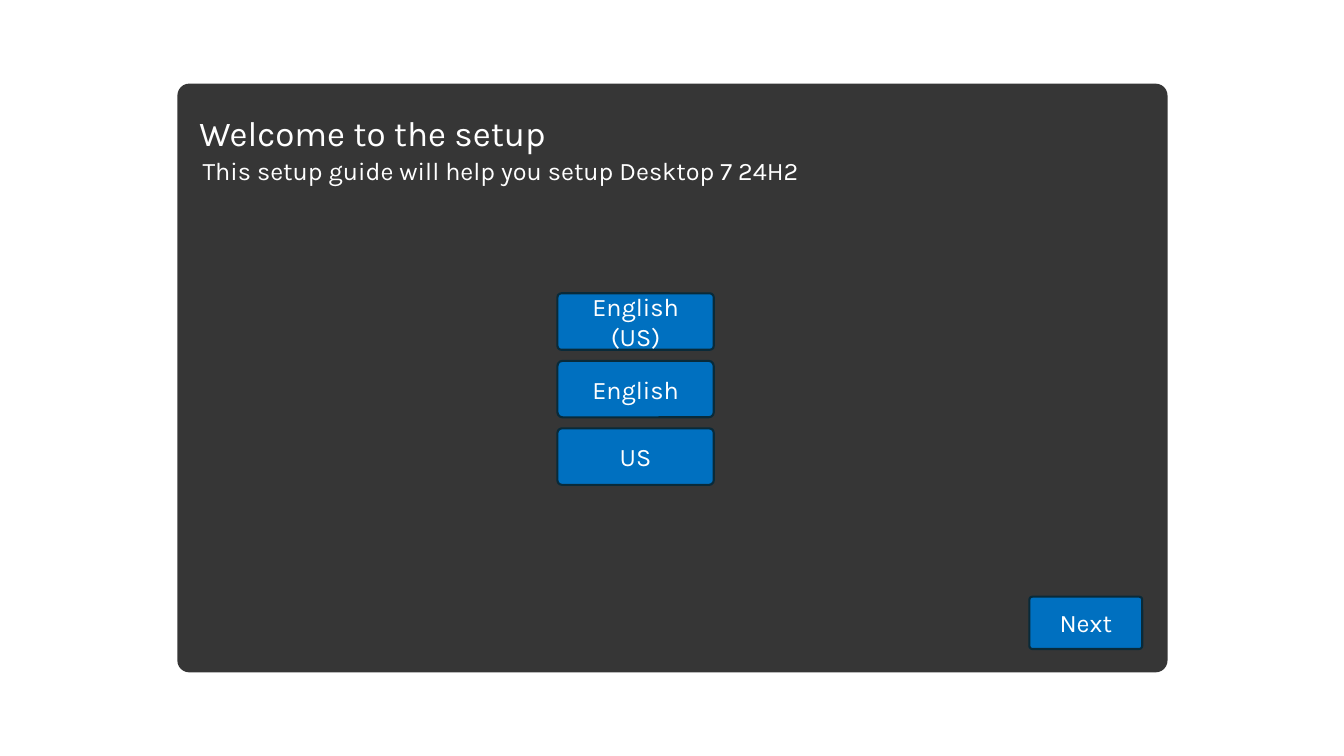
"""Build a setup welcome slide with language buttons and a Next button."""
import pptx
import pptx.dml.color
import pptx.enum.shapes
import pptx.enum.text
import pptx.util
from pptx.oxml import parse_xml
from pptx.oxml.ns import nsdecls, qn

HEADINGS = [
    ("Welcome to the setup", "title", (14.1, 14.13, 70.97, 6.93)),
    ("This setup guide will help you setup Desktop 7 24H2", "body", (14.33, 19.87, 70.97, 5.33)),
]
LANGUAGES = [("English (US)", 0.07), ("English", 0.09), ("US", 0.08)]
NEXT_BUTTON = ("Next", 0.06, (76.59, 78.93, 8.4, 6.93))
PANEL = (13.2, 11.07, 73.67, 77.87)
PANEL_ROUNDING = 0.02
FIRST_LANGUAGE = (41.48, 38.8, 11.63, 7.47)
LANGUAGE_STEP = 8.93

THEME = {
    "font": "Karla",
    "title": 25,
    "body": 18,
    "text": "FFFFFF",
    "panel": "000000",
    "panel_opacity": 79,
    "button": "0070C0",
    "outline": "092A39",
    "outline_width": 1.5,
}


def color(name):
    return pptx.dml.color.RGBColor.from_string(THEME[name])


def place(percentages):
    sides = (deck.slide_width, deck.slide_height) * 2
    return [round(side * share / 100) for side, share in zip(sides, percentages)]


def write(shape, text, size, alignment, anchor):
    frame = shape.text_frame
    for name, value in {"word_wrap": True, "vertical_anchor": anchor}.items():
        setattr(frame, name, value)
    para = frame.paragraphs[0]
    para.alignment = alignment
    span = para.add_run()
    span.text = text
    span.font.color.rgb = color("text")
    styles = {"name": THEME["font"], "size": pptx.util.Pt(THEME[size])}
    for name, value in styles.items():
        setattr(span.font, name, value)


def add_rounded(area, rounding, fill):
    kind = pptx.enum.shapes.MSO_SHAPE.ROUNDED_RECTANGLE
    shape = page.shapes.add_shape(kind, *place(area))
    shape.adjustments[0] = rounding
    shape.shadow.inherit = False
    shape.fill.solid()
    shape.fill.fore_color.rgb = color(fill)
    return shape


def add_panel():
    panel = add_rounded(PANEL, PANEL_ROUNDING, "panel")
    panel.line.fill.background()
    opacity = THEME["panel_opacity"] * 1000
    alpha = parse_xml(f'<a:alpha {nsdecls("a")} val="{opacity}"/>')
    panel.fill._xPr.find(qn("a:solidFill"))[0].append(alpha)


def add_heading(text, size, area):
    box = page.shapes.add_textbox(*place(area))
    write(box, text, size, pptx.enum.text.PP_ALIGN.LEFT, pptx.enum.text.MSO_ANCHOR.TOP)
    box.text_frame.auto_size = pptx.enum.text.MSO_AUTO_SIZE.SHAPE_TO_FIT_TEXT


def add_button(text, rounding, area):
    button = add_rounded(area, rounding, "button")
    button.line.color.rgb = color("outline")
    button.line.width = pptx.util.Pt(THEME["outline_width"])
    write(button, text, "body", pptx.enum.text.PP_ALIGN.CENTER, pptx.enum.text.MSO_ANCHOR.MIDDLE)


deck = pptx.Presentation()
deck.slide_width = pptx.util.Inches(13.33)
deck.slide_height = pptx.util.Inches(7.5)
page = deck.slides.add_slide(deck.slide_layouts[6])

add_panel()
for heading in HEADINGS:
    add_heading(*heading)
left, top, width, height = FIRST_LANGUAGE
for row, (language, rounding) in enumerate(LANGUAGES):
    add_button(language, rounding, (left, top + row * LANGUAGE_STEP, width, height))
add_button(*NEXT_BUTTON)

deck.save("out.pptx")
